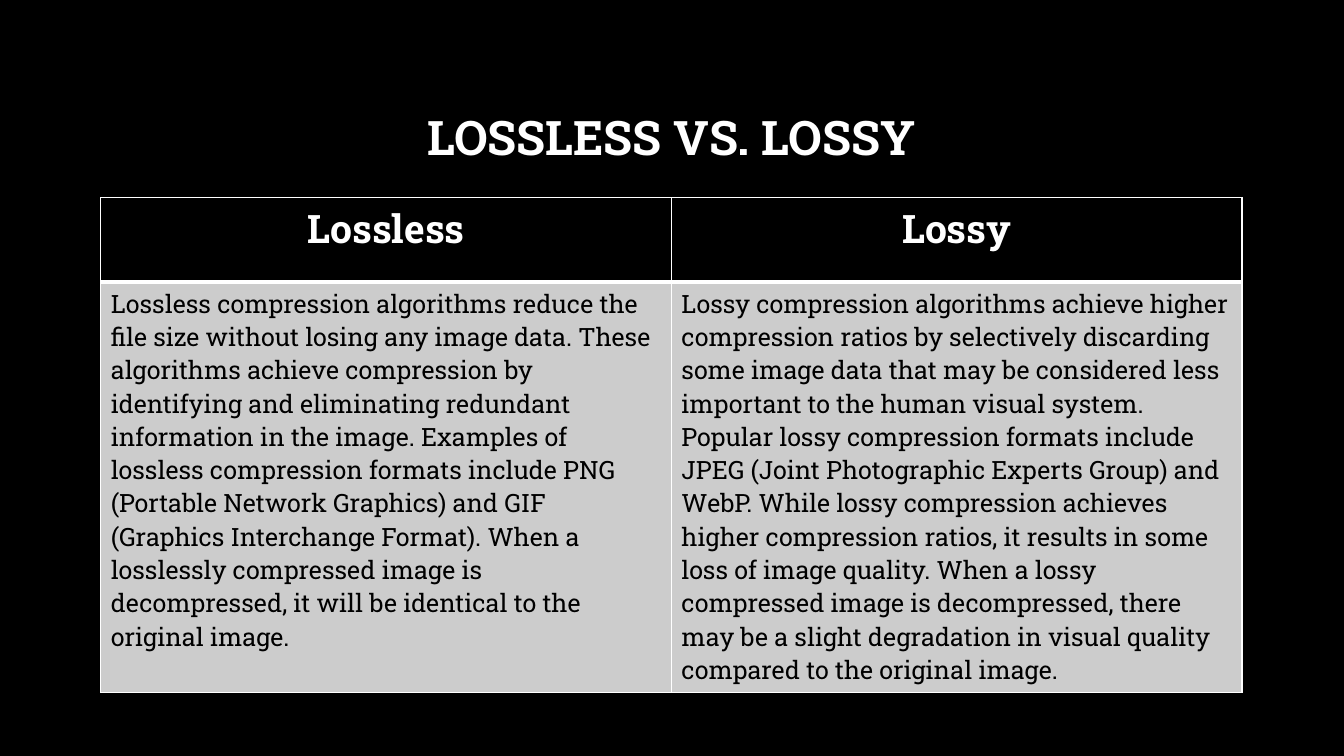
"""Build a slide that compares lossless and lossy compression in a table."""
import pptx
import pptx.dml.color
import pptx.enum.text
import pptx.oxml
import pptx.oxml.ns
import pptx.util

Cm = pptx.util.Cm
Pt = pptx.util.Pt
RGBColor = pptx.dml.color.RGBColor
PP_ALIGN = pptx.enum.text.PP_ALIGN
MSO_ANCHOR = pptx.enum.text.MSO_ANCHOR

BLACK = RGBColor(0x00, 0x00, 0x00)
WHITE = RGBColor(0xFF, 0xFF, 0xFF)
GREY = RGBColor(0xCC, 0xCC, 0xCC)
FONT = "Roboto Slab"
LEFT, WIDTH = Cm(2.54), Cm(28.76)

TITLE_FORMAT = {"size": Pt(34), "bold": True}
HEADER_FORMAT = {"size": Pt(28), "bold": True}
BODY_FORMAT = {"size": Pt(18), "bold": False}
HEADER_BORDERS = {"L": 1, "R": 1, "T": 1, "B": 3}
BODY_BORDERS = {"L": 1, "R": 1, "T": 3, "B": 1}

COMPARISON = {
    "Lossless": (
        "Lossless compression algorithms reduce the file size without losing any "
        "image data. These algorithms achieve compression by identifying and "
        "eliminating redundant information in the image. Examples of lossless "
        "compression formats include PNG (Portable Network Graphics) and GIF "
        "(Graphics Interchange Format). When a losslessly compressed image is "
        "decompressed, it will be identical to the original image."
    ),
    "Lossy": (
        "Lossy compression algorithms achieve higher compression ratios by "
        "selectively discarding some image data that may be considered less "
        "important to the human visual system. Popular lossy compression formats "
        "include JPEG (Joint Photographic Experts Group) and WebP. While lossy "
        "compression achieves higher compression ratios, it results in some loss "
        "of image quality. When a lossy compressed image is decompressed, there "
        "may be a slight degradation in visual quality compared to the original "
        "image."
    ),
}


def write_text(tf, text, font_format, color, align):
    """Write one formatted paragraph into a text frame."""
    p = tf.paragraphs[0]
    p.alignment = align
    r = p.add_run()
    r.text = text
    r.font.name = FONT
    r.font.color.rgb = color
    for name, value in font_format.items():
        setattr(r.font, name, value)
    return p


def add_title(s, text):
    """Add the centred slide title."""
    sp = s.shapes.add_textbox(LEFT, Cm(1.7), WIDTH, Cm(3.68))
    tf = sp.text_frame
    tf.word_wrap = True
    tf.vertical_anchor = MSO_ANCHOR.MIDDLE
    p = write_text(tf, text, TITLE_FORMAT, WHITE, PP_ALIGN.CENTER)
    p.line_spacing = 0.9


def set_borders(cell, borders):
    """Draw white cell borders with the given widths in points."""
    tc_pr = cell._tc.get_or_add_tcPr()
    for i, (side, width) in enumerate(borders.items()):
        ln = pptx.oxml.parse_xml(
            f'<a:ln{side} {pptx.oxml.ns.nsdecls("a")} w="{Pt(width)}">'
            f'<a:solidFill><a:srgbClr val="{WHITE}"/></a:solidFill></a:ln{side}>'
        )
        tc_pr.insert(i, ln)


def fill_cell(cell, text, font_format, color, fill, align, borders):
    """Set the text, fill and borders of one cell."""
    write_text(cell.text_frame, text, font_format, color, align)
    cell.fill.solid()
    cell.fill.fore_color.rgb = fill
    set_borders(cell, borders)


def add_comparison(s, comparison):
    """Add a table with one column for each compared method."""
    heights = [Cm(2.12), Cm(10.34)]
    table = s.shapes.add_table(
        2, len(comparison), LEFT, Cm(4.98), WIDTH, sum(heights)
    ).table
    for row, height in zip(table.rows, heights):
        row.height = height
    for col, (heading, body) in enumerate(comparison.items()):
        fill_cell(table.cell(0, col), heading, HEADER_FORMAT, WHITE, BLACK,
                  PP_ALIGN.CENTER, HEADER_BORDERS)
        fill_cell(table.cell(1, col), body, BODY_FORMAT, BLACK, GREY,
                  PP_ALIGN.LEFT, BODY_BORDERS)


def main():
    """Build and save the presentation."""
    prs = pptx.Presentation()
    prs.slide_width, prs.slide_height = Cm(33.87), Cm(19.05)
    s = prs.slides.add_slide(prs.slide_layouts[6])
    s.background.fill.solid()
    s.background.fill.fore_color.rgb = BLACK
    add_title(s, "LOSSLESS VS. LOSSY")
    add_comparison(s, COMPARISON)
    prs.save("out.pptx")


if __name__ == "__main__":
    main()
